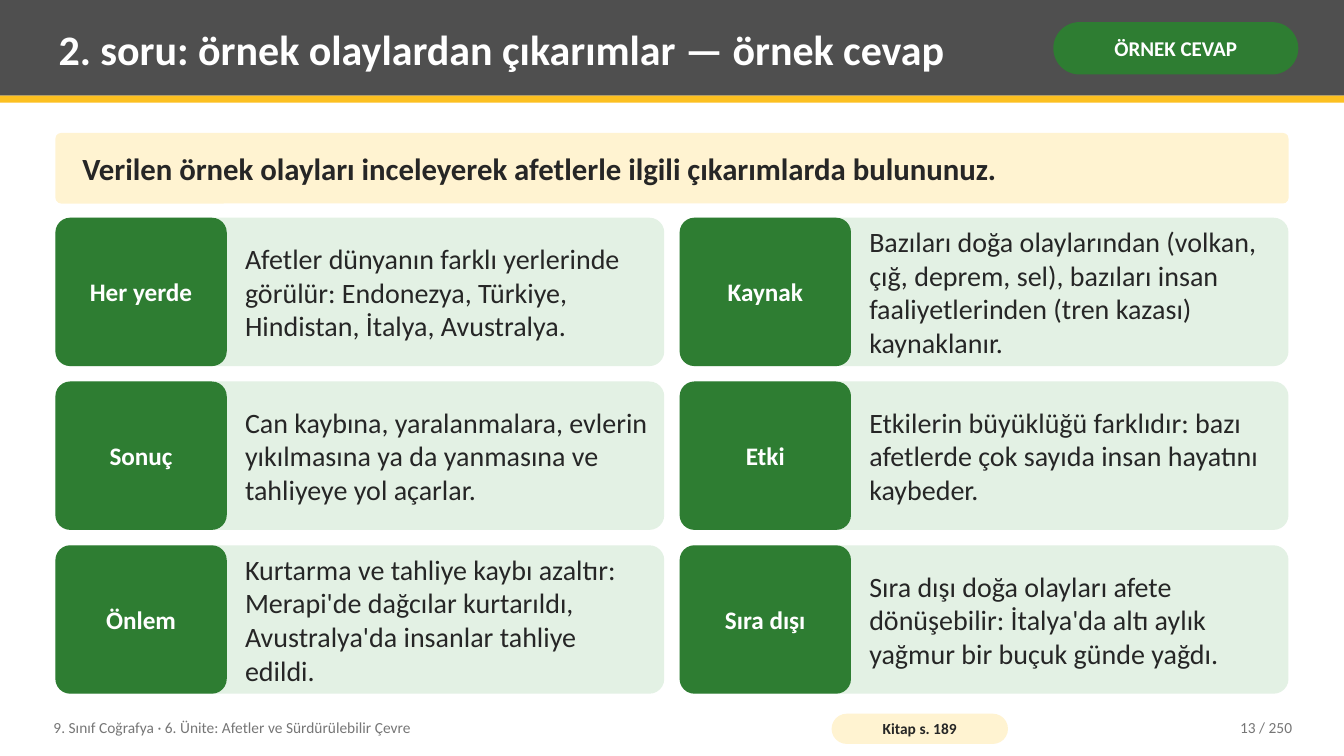
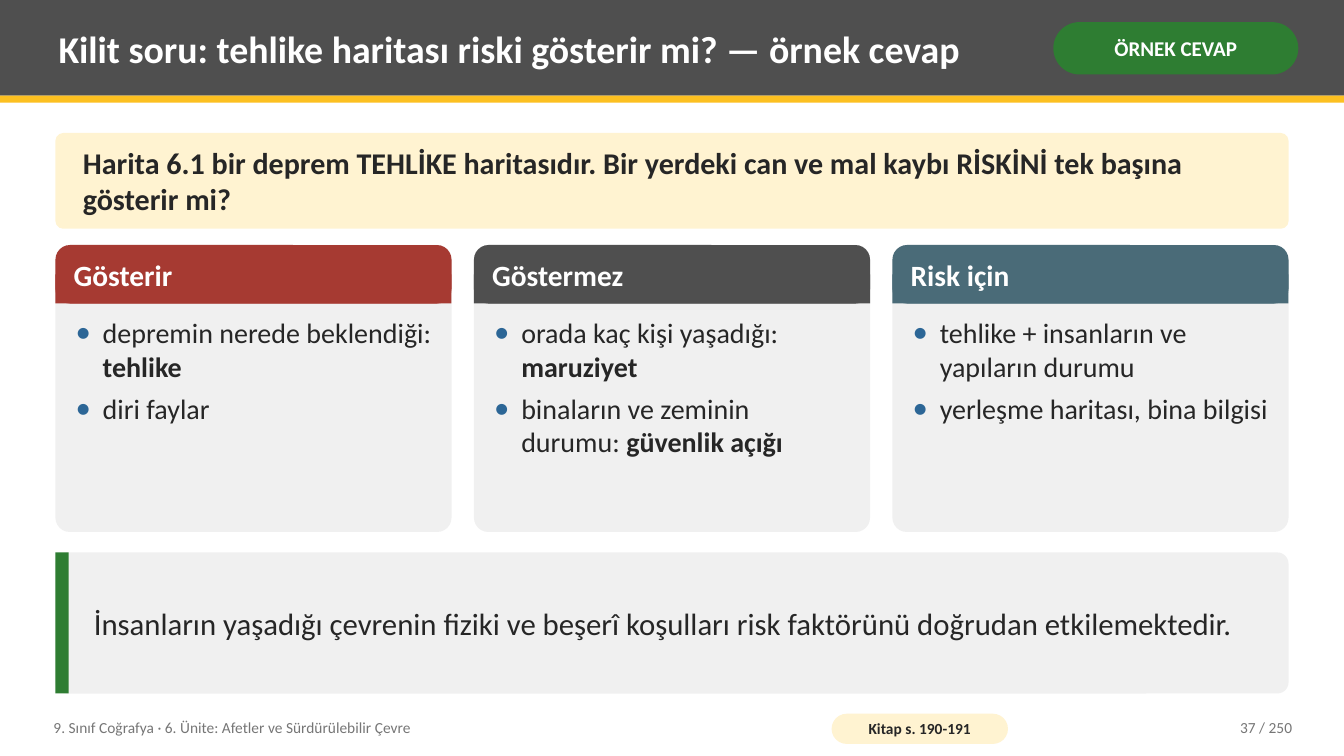
from lxml.etree import SubElement as Sub
from pptx import Presentation
from pptx.dml.color import RGBColor as Rgb
from pptx.enum.shapes import MSO_SHAPE as Kind
from pptx.enum.text import MSO_ANCHOR as Anchor, MSO_AUTO_SIZE as Auto, PP_ALIGN as Align
from pptx.oxml.ns import qn
from pptx.util import Pt

WIDE, HIGH = 960, 540
EDGE = 39.6
SPAN = WIDE - 2 * EDGE
FONT = "Calibri"
DARK, GOLD, GREEN, CREAM = "4F4F4F", "FCC021", "2E7D32", "FFF3D1"
INK, WHITE, GRAY, PALE, MINT = "262626", "FFFFFF", "767676", "F0F0F0", "E3F1E4"
RED, TEAL, BLUE = "A63A32", "4A6B78", "2C6696"
PAD = (5.8, 2.9)
TITLE_ONLY, COMPARE = 5, 4


def color(hue):
    return Rgb.from_string(hue)


def apply(item, values):
    for name, value in values.items():
        setattr(item, name, value)


def place(item, box):
    apply(item, dict(zip(("left", "top", "width", "height"), map(Pt, box))))


def add_run(para, text, size, hue, bold=False):
    run = para.add_run()
    run.text = text
    apply(run.font, {"name": FONT, "size": Pt(size), "bold": bold})
    run.font.color.rgb = color(hue)


def set_frame(frame, pad=PAD, anchor=Anchor.MIDDLE):
    side, end = map(Pt, pad)
    apply(frame, {
        "word_wrap": True, "auto_size": Auto.NONE, "vertical_anchor": anchor,
        "margin_left": side, "margin_right": side,
        "margin_top": end, "margin_bottom": end,
    })


def write(item, text, size, hue, bold=False, align=Align.LEFT, pad=PAD):
    set_frame(item.text_frame, pad)
    para = item.text_frame.paragraphs[0]
    para.alignment = align
    add_run(para, text, size, hue, bold)


def label(slide, box, *args, **form):
    write(slide.shapes.add_textbox(*map(Pt, box)), *args, **form)


def block(slide, box, hue, curve=None):
    kind = Kind.RECTANGLE if curve is None else Kind.ROUNDED_RECTANGLE
    shape = slide.shapes.add_shape(kind, *map(Pt, box))
    if curve is not None:
        shape.adjustments[0] = curve
    shape.shadow.inherit = False
    shape.fill.solid()
    shape.fill.fore_color.rgb = color(hue)
    shape.line.fill.background()
    return shape


def raise_up(slide, holder, box):
    slide.shapes._spTree.append(holder._element)
    place(holder, box)


def bullet(para):
    props = para._p.get_or_add_pPr()
    props.set("marL", str(Pt(19.4)))
    props.set("indent", str(-Pt(19.4)))
    Sub(Sub(props, qn("a:buClr")), qn("a:srgbClr")).set("val", BLUE)
    Sub(props, qn("a:buSzPct")).set("val", "110000")
    Sub(props, qn("a:buFont")).set("typeface", FONT)
    Sub(props, qn("a:buChar")).set("char", "•")


def fill_list(holder, items):
    frame = holder.text_frame
    set_frame(frame, anchor=Anchor.TOP)
    for index, (plain, strong) in enumerate(items):
        para = frame.add_paragraph() if index else frame.paragraphs[0]
        bullet(para)
        apply(para, {"alignment": Align.LEFT, "space_before": Pt(0), "space_after": Pt(6)})
        add_run(para, plain, 20, INK)
        if strong:
            add_run(para, strong, 20, INK, True)


def header(slide, box, title, size):
    x, y, w, h = box
    block(slide, box, DARK)
    block(slide, (x, y + h, w, 5), GOLD)
    raise_up(slide, slide.shapes.title, (x + 36, y + 5, 702, 59))
    write(slide.shapes.title, title, size, WHITE, True)
    pill = block(slide, (x + w - 207.6, y + 15.8, 175, 37.4), GREEN, 0.5)
    write(pill, "ÖRNEK CEVAP", 15, WHITE, True, Align.CENTER, (3.6, 1.4))


def footer(slide, box, source, page):
    x, y, w, h = box
    label(slide, (x, y, 547, h), "9. Sınıf Coğrafya · 6. Ünite: Afetler ve Sürdürülebilir Çevre", 11, GRAY)
    tag = block(slide, (x + 561.6, y + 2.9, 126, 21.6), CREAM, 0.5)
    write(tag, source, 11, INK, True, Align.CENTER, (2.9, 0))
    label(slide, (x + w - 115, y, 115, h), f"{page} / 250", 11, GRAY, align=Align.RIGHT)


def start(deck, layout, title, size, source, page):
    slide = deck.slides.add_slide(deck.slide_layouts[layout])
    header(slide, (0, 0, WIDE, 68.4), title, size)
    footer(slide, (32.4, 506.9, 896.4, 25.9), source, page)
    return slide


def question(slide, box, text, size):
    write(block(slide, box, CREAM, 0.08), text, size, INK, True, pad=(18, 5.8))


def card(slide, box, name, text):
    x, y, w, h = box
    block(slide, box, MINT, 0.1)
    tab = block(slide, (x, y, 122.4, h), GREEN, 0.1)
    write(tab, name, 18, WHITE, True, Align.CENTER, (3.6, 5.8))
    label(slide, (x + 129.6, y, w - 133.2, h), text, 20, INK)


def panel(slide, box, holder, name, hue, items):
    x, y, w, h = box
    head = 41.8
    block(slide, box, PALE, 0.05)
    block(slide, (x, y, w, head), hue, 0.25)
    block(slide, (x, y + head / 2, w, head / 2), hue)
    label(slide, (x + 7.2, y, w - 14.4, head), name, 21, WHITE, True)
    raise_up(slide, holder, (x + 8.6, y + 47.5, w - 16, h - 53))
    fill_list(holder, items)


def note(slide, box, text):
    x, y, w, h = box
    block(slide, box, PALE, 0.08)
    block(slide, (x, y, 9.4, h), GREEN)
    label(slide, (x + 21.6, y, w - 32.4, h), text, 22, INK)


def cells(box, cols, rows, gap):
    x, y, w, h = box
    wide = (w - gap * (cols - 1)) / cols
    high = (h - gap * (rows - 1)) / rows
    return [(x + col * (wide + gap), y + row * (high + gap), wide, high)
            for row in range(rows) for col in range(cols)]


def card_slide(deck):
    slide = start(deck, TITLE_ONLY, "2. soru: örnek olaylardan çıkarımlar — örnek cevap", 30, "Kitap s. 189", 13)
    question(slide, (EDGE, 95, SPAN, 50.4),
             "Verilen örnek olayları inceleyerek afetlerle ilgili çıkarımlarda bulununuz.", 22)
    cards = [
        ("Her yerde", "Afetler dünyanın farklı yerlerinde görülür: Endonezya, Türkiye, Hindistan, İtalya, Avustralya."),
        ("Kaynak", "Bazıları doğa olaylarından (volkan, çığ, deprem, sel), bazıları insan faaliyetlerinden (tren kazası) kaynaklanır."),
        ("Sonuç", "Can kaybına, yaralanmalara, evlerin yıkılmasına ya da yanmasına ve tahliyeye yol açarlar."),
        ("Etki", "Etkilerin büyüklüğü farklıdır: bazı afetlerde çok sayıda insan hayatını kaybeder."),
        ("Önlem", "Kurtarma ve tahliye kaybı azaltır: Merapi'de dağcılar kurtarıldı, Avustralya'da insanlar tahliye edildi."),
        ("Sıra dışı", "Sıra dışı doğa olayları afete dönüşebilir: İtalya'da altı aylık yağmur bir buçuk günde yağdı."),
    ]
    for box, (name, text) in zip(cells((EDGE, 155.5, SPAN, 340), 2, 3, 11), cards):
        card(slide, box, name, text)


def panel_slide(deck):
    slide = start(deck, COMPARE, "Kilit soru: tehlike haritası riski gösterir mi? — örnek cevap", 27,
                  "Kitap s. 190-191", 37)
    question(slide, (EDGE, 95, SPAN, 68.4),
             "Harita 6.1 bir deprem TEHLİKE haritasıdır. Bir yerdeki can ve mal kaybı RİSKİNİ tek başına gösterir mi?", 21.5)
    panels = [
        ("Gösterir", RED, [("depremin nerede beklendiği: ", "tehlike"), ("diri faylar", "")]),
        ("Göstermez", DARK, [("orada kaç kişi yaşadığı: ", "maruziyet"),
                             ("binaların ve zeminin durumu: ", "güvenlik açığı")]),
        ("Risk için", TEAL, [("tehlike + insanların ve yapıların durumu", ""),
                             ("yerleşme haritası, bina bilgisi", "")]),
    ]
    holders = {item.placeholder_format.idx: item for item in slide.placeholders}
    boxes = cells((EDGE, 175, SPAN, 205), 3, 1, 16)
    for index, (box, parts) in enumerate(zip(boxes, panels), 1):
        panel(slide, box, holders[index], *parts)
    spare = holders[4]._element
    spare.getparent().remove(spare)
    note(slide, (EDGE, 394.6, SPAN, 100.8),
         "İnsanların yaşadığı çevrenin fiziki ve beşerî koşulları risk faktörünü doğrudan etkilemektedir.")


def main():
    deck = Presentation()
    apply(deck, {"slide_width": Pt(WIDE), "slide_height": Pt(HIGH)})
    card_slide(deck)
    panel_slide(deck)
    deck.save("out.pptx")


if __name__ == "__main__":
    main()
